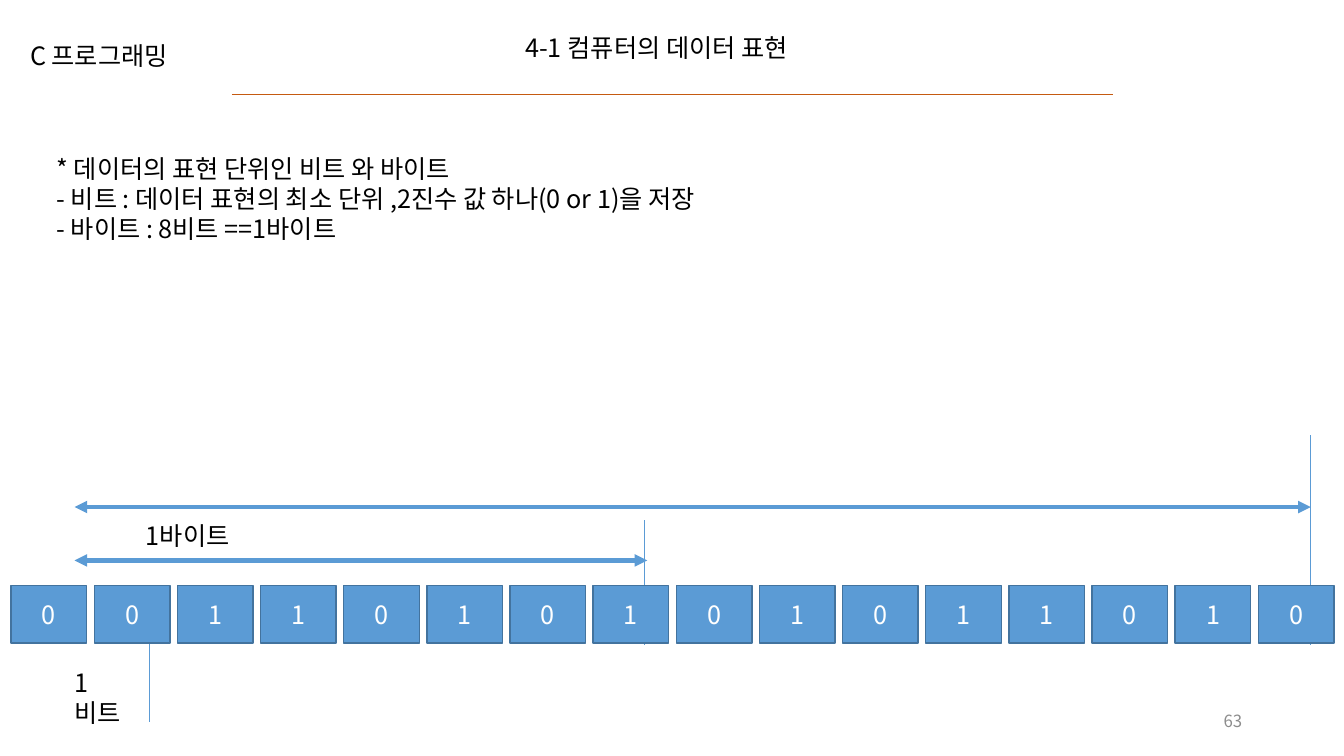
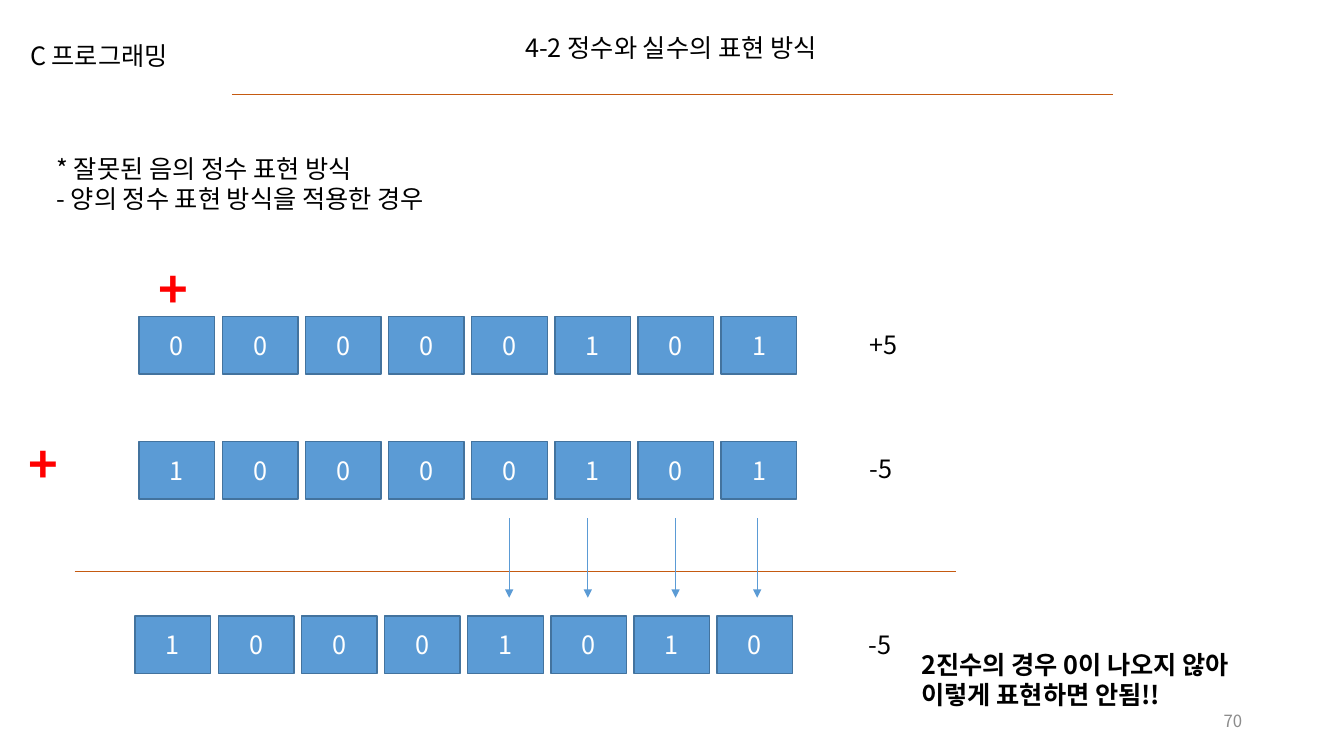
import pptx
import pptx.dml.color
import pptx.enum.shapes
import pptx.enum.text
import pptx.oxml.ns
import pptx.oxml.xmlchemy
import pptx.util
import lxml.etree

Inches = pptx.util.Inches
Pt = pptx.util.Pt
qn = pptx.oxml.ns.qn
color = pptx.dml.color.RGBColor.from_string
ALIGN = pptx.enum.text.PP_ALIGN
ANCHOR = pptx.enum.text.MSO_ANCHOR

FONT = "Noto Sans CJK KR"
BLACK, WHITE, GRAY, RED = "000000", "FFFFFF", "8C8C8C", "FF0000"
BLUE, DARK_BLUE, ORANGE = "5B9BD5", "43739E", "C55A11"
CELL_WIDTH, CELL_HEIGHT = 0.75, 0.57
CELL_PITCH = 12.37 / 15
COURSE = "C 프로그래밍"

# Text boxes: text, (left, top, width, height), size, colour, bold
# Lines: start, end, colour, width, arrowhead ends
# Bit rows: left, top, bits
SLIDES = [
    {
        "title": "4-1 컴퓨터의 데이터 표현",
        "body": "* 데이터의 표현 단위인 비트 와 바이트\n"
                "- 비트 : 데이터 표현의 최소 단위 ,2진수 값 하나(0 or 1)을 저장\n"
                "- 바이트 : 8비트 ==1바이트",
        "body_box": (0.46, 1.47, 7.35, 1.01),
        "number": "63",
        "lines": [
            ((0.74, 5.03), (13, 5.03), BLUE, 3, ("headEnd", "tailEnd")),
            ((0.74, 5.56), (6.42, 5.56), BLUE, 3, ("headEnd", "tailEnd")),
            ((6.39, 5.16), (6.39, 6.4), BLUE, 0.5, ()),
            ((13, 4.32), (13, 6.4), BLUE, 0.5, ()),
            ((1.48, 5.92), (1.48, 7.16), BLUE, 0.5, ()),
        ],
        "bit_rows": [(0.11, 5.81, "0011010101011010")],
        "texts": [
            ("1비트", (0.64, 6.57, 0.75, 0.71), 18, BLACK, False),
            ("1바이트", (1.35, 5.11, 1.2, 0.4), 18, BLACK, False),
        ],
    },
    {
        "title": "4-2 정수와 실수의 표현 방식",
        "body": "* 잘못된 음의 정수 표현 방식\n- 양의 정수 표현 방식을 적용한 경우",
        "body_box": (0.46, 1.47, 4.38, 0.71),
        "number": "70",
        "lines": [((0.74, 5.67), (9.48, 5.67), ORANGE, 0.5, ())] + [
            ((x, 5.14), (x, 5.93), BLUE, 0.5, ("tailEnd",))
            for x in (5.05, 5.83, 6.7, 7.51)
        ],
        "bit_rows": [
            (1.38, 3.14, "00000101"),
            (1.38, 4.38, "10000101"),
            (1.34, 6.11, "10001010"),
        ],
        "texts": [
            ("+5", (8.53, 3.22, 0.52, 0.4), 18, BLACK, False),
            ("-5", (8.53, 4.45, 0.44, 0.4), 18, BLACK, False),
            ("-5", (8.52, 6.19, 0.44, 0.4), 18, BLACK, False),
            ("+", (1.47, 2.51, 0.56, 0.71), 36, RED, True),
            ("+", (0.18, 4.25, 0.56, 0.71), 36, RED, True),
            ("2진수의 경우 0이 나오지 않아\n이렇게 표현하면 안됨!!",
             (9.04, 6.39, 3.61, 0.71), 18, BLACK, True),
        ],
    },
]


def write(shape, text, box, size=18, fill=BLACK, bold=False,
          align=ALIGN.LEFT, anchor=ANCHOR.TOP):
    """Place a shape at box and fill it with unbulleted, formatted lines."""
    shape.left, shape.top, shape.width, shape.height = map(Inches, box)
    frame = shape.text_frame
    frame.word_wrap = True
    frame.auto_size = pptx.enum.text.MSO_AUTO_SIZE.NONE
    frame.vertical_anchor = anchor
    frame.text = text
    for paragraph in frame.paragraphs:
        properties = paragraph._p.get_or_add_pPr()
        properties.set("marL", "0")
        properties.set("indent", "0")
        lxml.etree.SubElement(properties, qn("a:buNone"))
        paragraph.alignment = align
        paragraph.space_before = Pt(0)
        paragraph.line_spacing = Pt(size * 1.2)
        font = paragraph.font
        font.size = Pt(size)
        font.bold = bold
        font.color.rgb = color(fill)
        font.name = FONT
        east_asian = lxml.etree.SubElement(
            properties.find(qn("a:defRPr")), qn("a:ea"))
        east_asian.set("typeface", FONT)


def draw_line(slide, start, end, stroke, width, arrow_ends=()):
    connector = slide.shapes.add_connector(
        pptx.enum.shapes.MSO_CONNECTOR.STRAIGHT,
        *map(Inches, start + end))
    connector.line.color.rgb = color(stroke)
    connector.line.width = Pt(width)
    properties = connector._element.spPr
    for arrow_end in arrow_ends:
        arrow = lxml.etree.SubElement(
            properties.find(qn("a:ln")), qn("a:" + arrow_end))
        arrow.set("type", "triangle")
    lxml.etree.SubElement(properties, qn("a:effectLst"))


presentation = pptx.Presentation()
presentation.slide_width = Inches(13.33)
presentation.slide_height = Inches(7.5)

for content in SLIDES:
    slide = presentation.slides.add_slide(presentation.slide_layouts[1])
    shapes = slide.shapes

    draw_line(slide, (2.3, 0.94), (11.04, 0.94), ORANGE, 0.5)
    write(shapes.title, content["title"], (5.11, 0.27, 3.46, 0.4))
    write(slide.placeholders[1], content["body"], content["body_box"])
    write(shapes.add_textbox(0, 0, 0, 0), COURSE, (0.2, 0.35, 1.71, 0.4))
    write(shapes.add_textbox(0, 0, 0, 0), content["number"],
          (9.42, 6.95, 3, 0.4), 12, GRAY,
          align=ALIGN.RIGHT, anchor=ANCHOR.MIDDLE)

    for line in content["lines"]:
        draw_line(slide, *line)

    for left, top, bits in content["bit_rows"]:
        for index, bit in enumerate(bits):
            cell = shapes.add_shape(
                pptx.enum.shapes.MSO_SHAPE.RECTANGLE, 0, 0, 0, 0)
            cell.shadow.inherit = False
            cell.fill.solid()
            cell.fill.fore_color.rgb = color(BLUE)
            cell.line.color.rgb = color(DARK_BLUE)
            cell.line.width = Pt(1)
            write(cell, bit,
                  (left + index * CELL_PITCH, top, CELL_WIDTH, CELL_HEIGHT),
                  fill=WHITE, align=ALIGN.CENTER, anchor=ANCHOR.MIDDLE)

    for text, box, size, fill, bold in content["texts"]:
        write(shapes.add_textbox(0, 0, 0, 0), text, box, size, fill, bold)

presentation.save("out.pptx")
